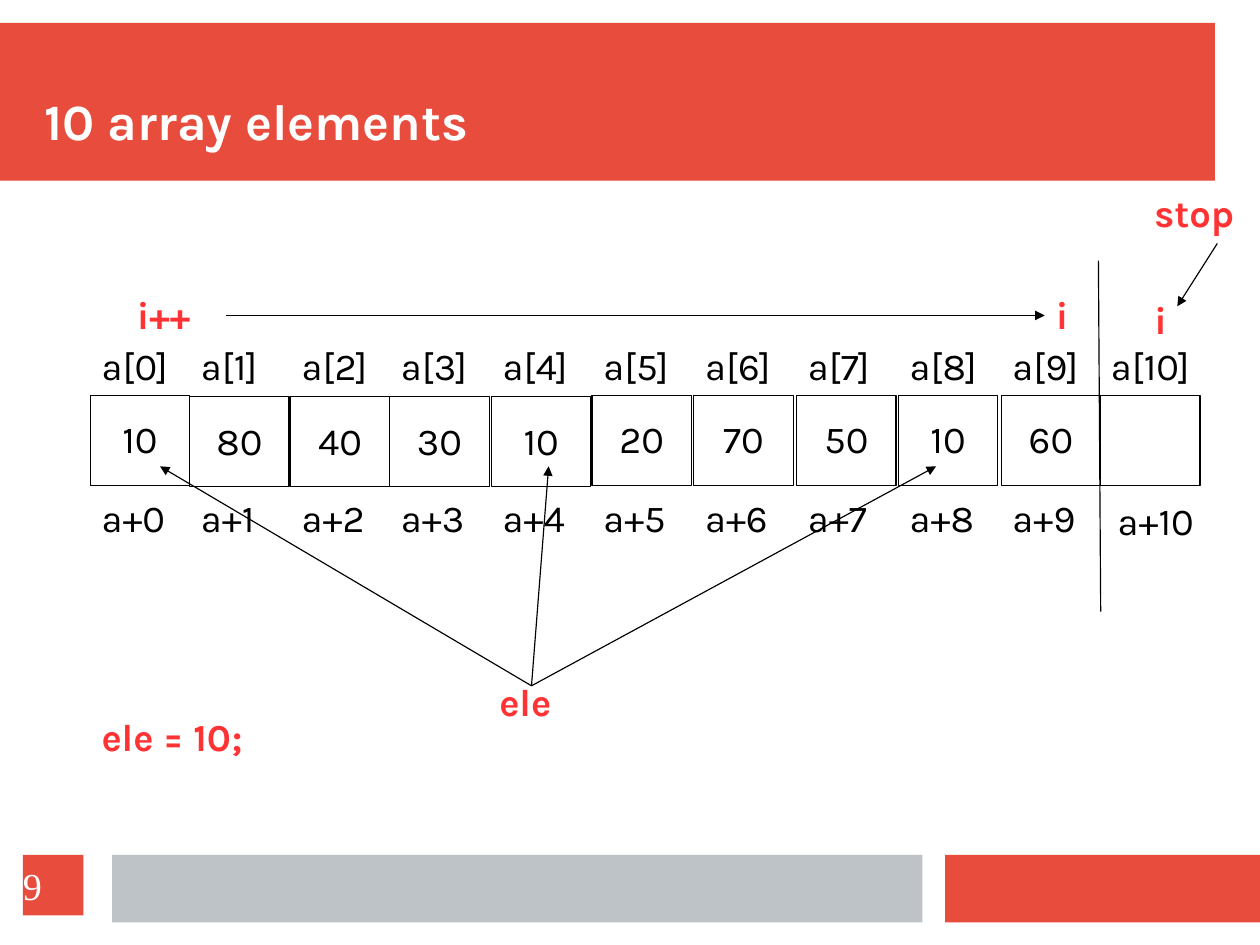
from lxml import etree
from pptx import Presentation
from pptx import util as u
from pptx.dml.color import RGBColor
from pptx.enum import shapes, text
from pptx.oxml import ns

RED = RGBColor(0xE7, 0x4C, 0x3C)
GREY = RGBColor(0xBD, 0xC3, 0xC7)
LABEL_RED = RGBColor(0xFF, 0x33, 0x33)
BLACK = RGBColor(0, 0, 0)
WHITE = RGBColor(0xFF, 0xFF, 0xFF)

deck = Presentation()
deck.slide_width = u.Cm(28)
deck.slide_height = u.Cm(21)
page = deck.slides.add_slide(deck.slide_layouts[6])


def add_rectangle(left, top, width, height, fill, line=None):
    box = page.shapes.add_shape(
        shapes.MSO_SHAPE.RECTANGLE,
        u.Inches(left), u.Inches(top), u.Inches(width), u.Inches(height))
    box.shadow.inherit = False
    box.fill.solid()
    box.fill.fore_color.rgb = fill
    if line is None:
        box.line.fill.background()
    else:
        box.line.color.rgb = line
        box.line.width = u.Pt(0.75)
    return box


def write(words, box=None, at=None, size=24, font="Karla", color=BLACK, bold=False,
          align=text.PP_ALIGN.LEFT, anchor=text.MSO_ANCHOR.TOP, spacing=0.97, inset=True):
    if box is None:
        box = page.shapes.add_textbox(*(u.Inches(value) for value in at))
    frame = box.text_frame
    frame.word_wrap = True
    frame.vertical_anchor = anchor
    frame.margin_left = frame.margin_right = u.Inches(0.1 if inset else 0)
    frame.margin_top = frame.margin_bottom = u.Inches(0.05 if inset else 0)
    para = frame.paragraphs[0]
    para.alignment = align
    para.line_spacing = spacing
    span = para.add_run()
    span.text = words
    span.font.size = u.Pt(size)
    span.font.name = font
    span.font.bold = bold
    span.font.color.rgb = color


add_rectangle(0, 0.2, 10.63, 1.38, RED)
add_rectangle(8.27, 7.48, 2.76, 0.59, RED)
add_rectangle(0.98, 7.48, 7.09, 0.59, GREY)
write("10 array elements", at=(0.39, 0.39, 10.19, 0.94), size=32, color=WHITE, bold=True,
      anchor=text.MSO_ANCHOR.BOTTOM, inset=False)

cell_lefts = [0.79, 1.66, 2.54, 3.41, 4.3, 5.18, 6.07, 6.97, 7.86, 8.76]
values = [10, 80, 40, 30, 10, 20, 70, 50, 10, 60]
for index, (left, value) in enumerate(zip(cell_lefts, values)):
    cell_top = 3.47 if 1 <= index <= 4 else 3.46
    cell = add_rectangle(left, cell_top, 0.87, 0.79, WHITE, BLACK)
    write(str(value), box=cell, align=text.PP_ALIGN.CENTER, anchor=text.MSO_ANCHOR.MIDDLE)
    write(f"a[{index}]", at=(left, 2.97, 0.88, 0.5))
    write(f"a+{index}", at=(left, 4.3, 0.89, 0.5))

add_rectangle(9.63, 3.46, 0.87, 0.79, WHITE, BLACK)
write("a[10]", at=(9.62, 2.97, 1.09, 0.5))
write("a+10", at=(9.68, 4.33, 1.11, 0.5))

for words, left, top, width in [
    ("i++", 1.1, 2.52, 0.87),
    ("i", 9.14, 2.52, 0.31),
    ("i", 10, 2.57, 0.31),
    ("stop", 10, 1.63, 1.02),
    ("ele = 10;", 0.79, 6.22, 1.88),
    ("ele", 4.27, 5.91, 0.77),
]:
    write(words, at=(left, top, width, 0.5), color=LABEL_RED, bold=True)

for start, end, has_arrow in [
    ((1.98, 2.76), (9.14, 2.76), True),
    ((9.61, 2.28), (9.63, 5.35), False),
    ((10.65, 2.13), (10.3, 2.68), True),
    ((4.65, 6), (1.4, 4.08), True),
    ((4.65, 6), (4.8, 4.08), True),
    ((4.65, 6), (8.19, 4.08), True),
]:
    line = page.shapes.add_connector(
        shapes.MSO_CONNECTOR.STRAIGHT, *(u.Inches(value) for value in start + end))
    line.line.color.rgb = BLACK
    line.line.width = u.Pt(0.75)
    if has_arrow:
        etree.SubElement(line.line._get_or_add_ln(), ns.qn("a:tailEnd"), type="triangle")
    etree.SubElement(line._element.spPr, ns.qn("a:effectLst"))

number_box = add_rectangle(0.2, 7.48, 0.53, 0.53, RED)
write("9", box=number_box, font="Times New Roman", color=WHITE,
      anchor=text.MSO_ANCHOR.MIDDLE, spacing=1.0, inset=False)

deck.save("out.pptx")
